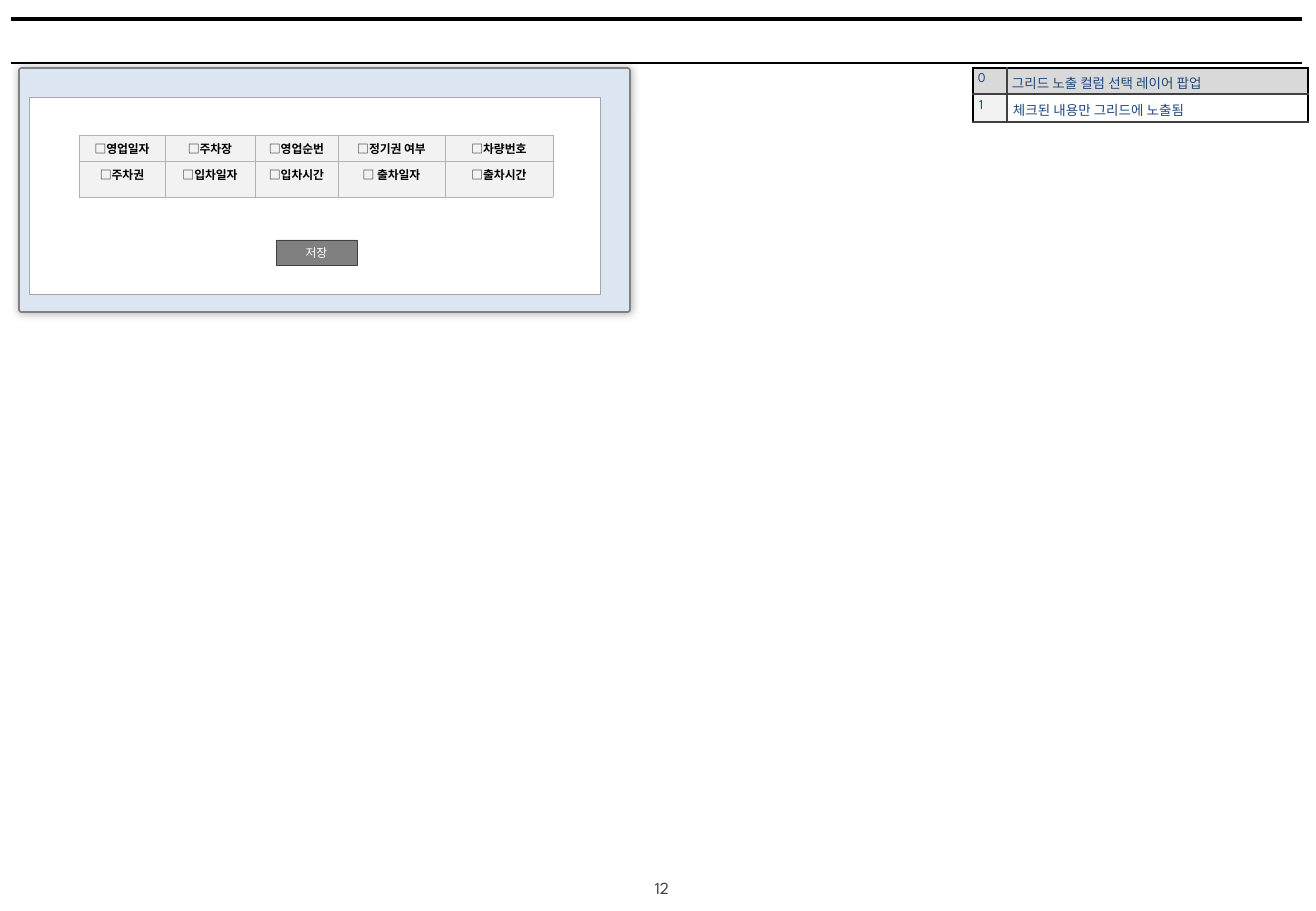
"""Builds the grid column picker slide with its description table."""
from lxml import etree
from pptx import Presentation
from pptx import util as u
from pptx.dml.color import RGBColor
from pptx.enum import shapes, text
from pptx.oxml.ns import qn

PX = 914400 / 121.5
COLORS = {
    "black": "000000", "white": "FFFFFF", "dark": "404040", "gray": "808080",
    "edge": "A6A6A6", "grid": "B2B2B2", "head": "D9D9D9", "pale": "F2F2F2",
    "window": "DCE6F2", "navy": "1F497D",
}
KOREAN = "Noto Sans CJK KR"
LATIN = "League Spartan"


def px(*lengths):
    return [u.Emu(round(length * PX)) for length in lengths]


def write(paragraph, words, face, size, color, bold=False):
    run = paragraph.add_run()
    run.text = words
    for key, value in {"name": face, "size": u.Pt(size), "bold": bold}.items():
        setattr(run.font, key, value)
    run.font.color.rgb = RGBColor.from_string(COLORS[color])
    etree.SubElement(run.font._element, qn("a:ea"), typeface=KOREAN)


prs = Presentation()
prs.slide_width, prs.slide_height = px(1316, 911)
slide = prs.slides.add_slide(prs.slide_layouts[6])

page = slide.shapes.add_textbox(*px(643, 872, 46, 33)).text_frame
page.word_wrap = False
write(page.paragraphs[0], "12", LATIN, 10, "dark")

for y, weight in ((19, 2.25), (63, 0.75)):
    rule = slide.shapes.add_connector(shapes.MSO_CONNECTOR.STRAIGHT, *px(11, y, 1302, y))
    rule.line.color.rgb = RGBColor.from_string(COLORS["black"])
    rule.line.width = u.Pt(weight)
    etree.SubElement(rule._element.spPr, qn("a:effectLst"))

popup = slide.shapes.add_group_shape()
BOXES = [
    (popup.shapes, "ROUNDED_RECTANGLE", (19, 68, 611, 244), "window", "gray", 1),
    (popup.shapes, "RECTANGLE", (29, 97, 571, 197), "white", "edge", 0.25),
    (slide.shapes, "RECTANGLE", (276, 240, 81, 25), "gray", "dark", 0.25),
]
drawn = []
for parent, kind, frame, fill, line, weight in BOXES:
    box = parent.add_shape(getattr(shapes.MSO_SHAPE, kind), *px(*frame))
    box.shadow.inherit = False
    box.fill.solid()
    box.fill.fore_color.rgb = RGBColor.from_string(COLORS[fill])
    box.line.color.rgb = RGBColor.from_string(COLORS[line])
    box.line.width = u.Pt(weight)
    drawn.append(box)
window, panel, save = drawn

window.adjustments[0] = 0.01
glow = etree.SubElement(window._element.spPr.find(qn("a:effectLst")), qn("a:outerShdw"),
                        blurRad=str(u.Pt(5)), dist="0", dir="0", algn="ctr", rotWithShape="0")
tint = etree.SubElement(glow, qn("a:srgbClr"), val=COLORS["dark"])
etree.SubElement(tint, qn("a:alpha"), val="40000")

label = save.text_frame
for side in ("left", "right", "top", "bottom"):
    setattr(label, f"margin_{side}", 0)
label.vertical_anchor = text.MSO_ANCHOR.MIDDLE
label.paragraphs[0].alignment = text.PP_ALIGN.CENTER
write(label.paragraphs[0], "저장", KOREAN, 7, "white")

notes = {
    "at": (973, 68), "cols": (34, 301), "rows": (26, 28), "insets": (5, 6), "bottom": 2,
    "fills": (("head", "head"), ("pale", "white")), "align": text.PP_ALIGN.LEFT,
    "inner": ("dark", 0.75), "outer": ("black", 1), "bottom_edge": ("dark", 0.75),
    "cells": (("0", "그리드 노출 컬럼 선택 레이어 팝업"), ("1", "체크된 내용만 그리드에 노출됨")),
}
columns = {
    "at": (79, 135), "cols": (86, 90, 83, 107, 108), "rows": (26, 36), "insets": (5, 5), "bottom": 4,
    "fills": (("pale",) * 5,) * 2, "align": text.PP_ALIGN.CENTER,
    "inner": ("grid", 0.25), "outer": ("grid", 0.25), "bottom_edge": ("grid", 0.25),
    "cells": (("□영업일자", "□주차장", "□영업순번", "□정기권 여부", "□차량번호"),
              ("□주차권", "□입차일자", "□입차시간", "□ 출차일자", "□출차시간")),
}
for spec_table in (notes, columns):
    widths, heights = spec_table["cols"], spec_table["rows"]
    table = slide.shapes.add_table(len(heights), len(widths),
                                   *px(*spec_table["at"], sum(widths), sum(heights))).table
    table.first_row = table.horz_banding = False
    for column, width in zip(table.columns, px(*widths)):
        column.width = width
    for r, height in enumerate(px(*heights)):
        table.rows[r].height = height
        for c, words in enumerate(spec_table["cells"][r]):
            cell = table.cell(r, c)
            inset = spec_table["insets"][r]
            margins = {"left": inset, "right": inset, "top": inset, "bottom": spec_table["bottom"]}
            for side, margin in margins.items():
                setattr(cell, f"margin_{side}", px(margin)[0])
            cell.fill.solid()
            cell.fill.fore_color.rgb = RGBColor.from_string(COLORS[spec_table["fills"][r][c]])
            paragraph = cell.text_frame.paragraphs[0]
            paragraph.alignment = spec_table["align"]
            if spec_table is columns:
                name = words.lstrip("□ ")
                write(paragraph, words.removesuffix(name), KOREAN, 7, "black")
                write(paragraph, name, KOREAN, 7, "black", True)
            else:
                write(paragraph, words, LATIN, 8, "navy")
            inner, outer = spec_table["inner"], spec_table["outer"]
            edges = {
                "lnL": inner if c else outer,
                "lnR": inner if c < len(widths) - 1 else outer,
                "lnT": inner if r else outer,
                "lnB": inner if r < len(heights) - 1 else spec_table["bottom_edge"],
            }
            for order, (tag, (color, weight)) in enumerate(edges.items()):
                border = etree.Element(qn(f"a:{tag}"), w=str(u.Pt(weight)))
                solid = etree.SubElement(border, qn("a:solidFill"))
                etree.SubElement(solid, qn("a:srgbClr"), val=COLORS[color])
                cell._tc.get_or_add_tcPr().insert(order, border)

prs.save("out.pptx")
